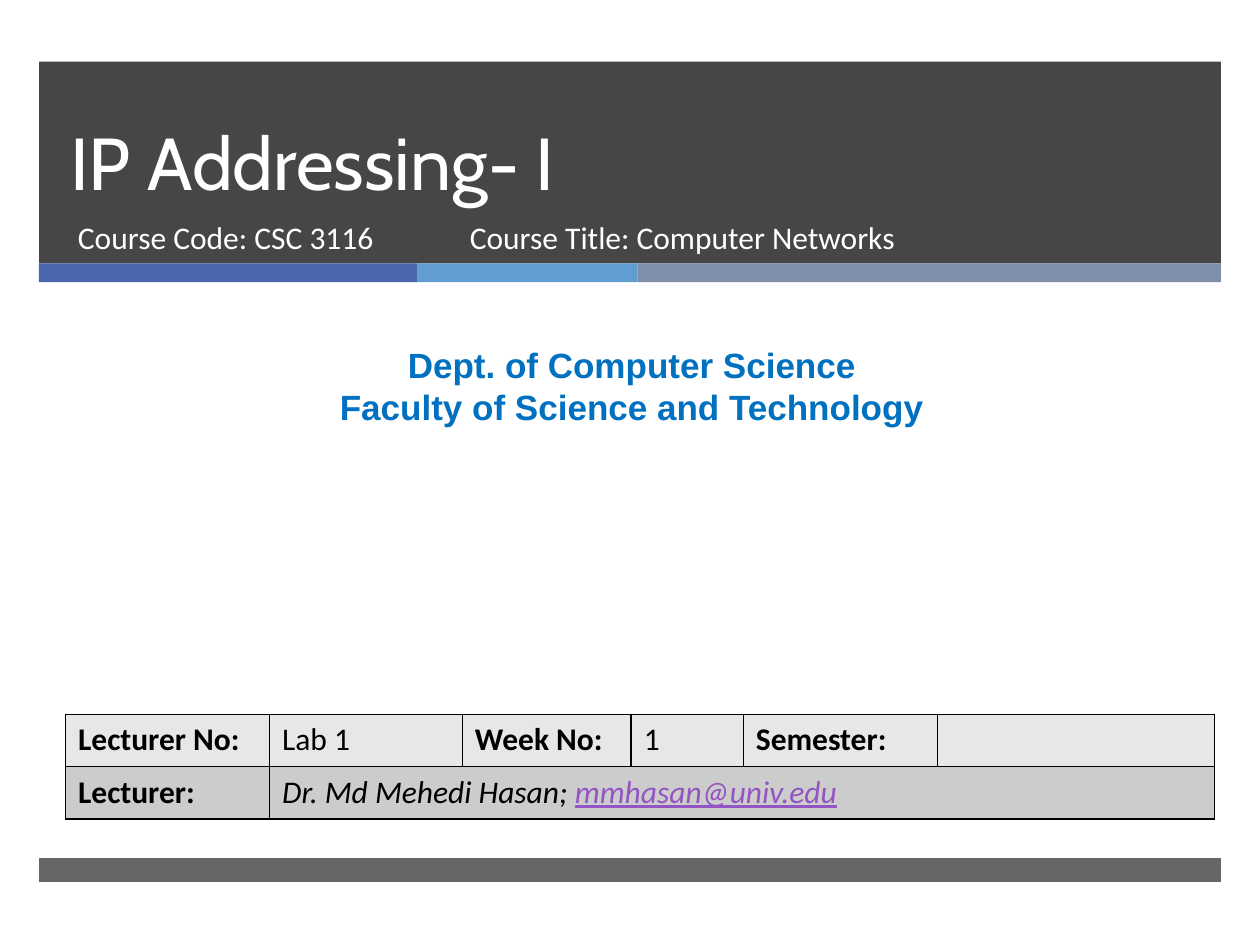
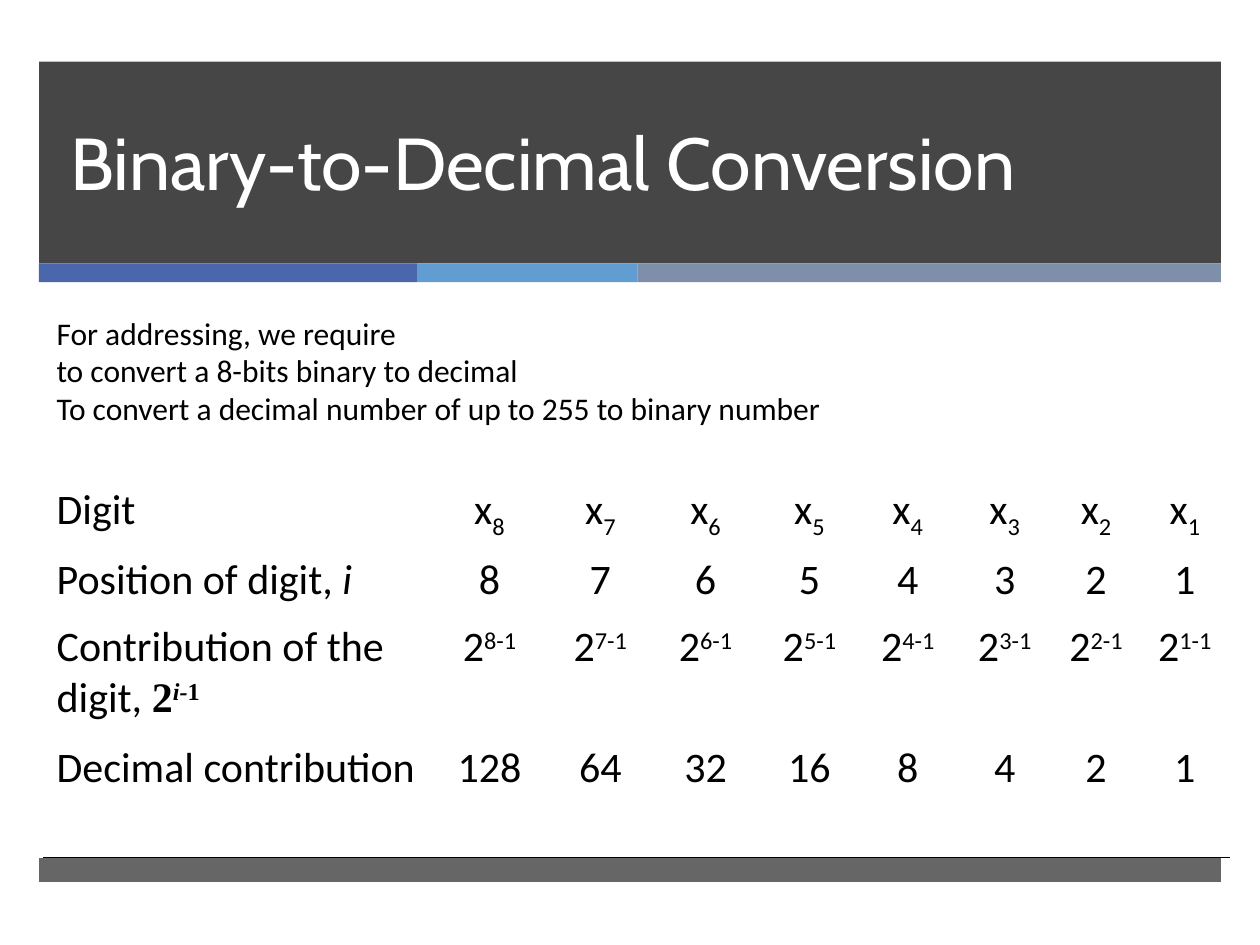
"""Builds two slides on IP addressing and binary-to-decimal conversion."""
from itertools import accumulate, zip_longest

from lxml.etree import SubElement
from pptx import Presentation
from pptx.dml.color import RGBColor
from pptx.enum.shapes import MSO_SHAPE as Shape
from pptx.enum.text import MSO_ANCHOR as Anchor, PP_ALIGN as Align
from pptx.oxml import parse_xml
from pptx.oxml.ns import nsdecls, qn
from pptx.util import Inches, Pt

BLACK = RGBColor(0x00, 0x00, 0x00)
WHITE = RGBColor(0xFF, 0xFF, 0xFF)
CHARCOAL = RGBColor(0x26, 0x26, 0x26)
INDIGO = RGBColor(0x4A, 0x66, 0xAC)
SKY = RGBColor(0x62, 0x9D, 0xD1)
SLATE = RGBColor(0x7F, 0x8F, 0xA9)
BLUE = RGBColor(0x00, 0x70, 0xC0)
PURPLE = RGBColor(0x94, 0x54, 0xC3)
LIGHT_GREY = RGBColor(0xE7, 0xE7, 0xE7)
MID_GREY = RGBColor(0xCC, 0xCC, 0xCC)

COLUMNS, ROWS = 100, 75
CELL = Inches(10) / COLUMNS

BODY = {"name": "Calibri", "size": Pt(18), "color": BLACK}
TITLE = BODY | {"name": "Cabin", "size": Pt(42), "color": WHITE}
COURSE = BODY | {"color": WHITE}
DEPARTMENT = {"name": "Arial", "size": Pt(20), "color": BLUE, "bold": True}
DIGITS = BODY | {"size": Pt(24)}
BOLD, ITALIC = {"bold": True}, {"italic": True}
SUBSCRIPT, SUPERSCRIPT = {"baseline": -25000}, {"baseline": 30000}
FORMULA = {"name": "Times New Roman", "bold": True}


def grid(*cells):
    """Turn grid cells into slide lengths."""
    return [round(count * CELL) for count in cells]


class SlideBuilder:
    """Holds the deck, the current slide and the shared style."""

    def __init__(self):
        """Start an empty deck sized to the grid."""
        self.deck = Presentation()
        self.deck.slide_width, self.deck.slide_height = grid(COLUMNS, ROWS)
        self.page = None

    def add_page(self, title):
        """Add a slide with its bands and title."""
        self.page = self.deck.slides.add_slide(self.deck.slide_layouts[6])
        self.band((3.1, 4.9, 93.8, 16), CHARCOAL, 85)
        widths = (30, 17.5, 46.3)
        lefts = accumulate(widths, initial=3.1)
        for left, width, color in zip(lefts, widths, (INDIGO, SKY, SLATE)):
            self.band((left, 20.9, width, 1.5), color)
        self.band((3.1, 68.1, 93.8, 1.9), CHARCOAL, 70)
        frame = self.text((4.6, 4.9, 85.4, 11.9), [title], TITLE)
        frame.vertical_anchor = Anchor.BOTTOM
        frame.paragraphs[0].line_spacing = Pt(46)

    def band(self, place, color, opacity=100):
        """Draw a plain rectangle."""
        box = self.page.shapes.add_shape(Shape.RECTANGLE, *grid(*place))
        box.shadow.inherit = False
        box.line.fill.background()
        box.fill.solid()
        box.fill.fore_color.rgb = color
        if opacity < 100:
            tint = box.fill._xPr.find(".//" + qn("a:srgbClr"))
            SubElement(tint, qn("a:alpha"), val=str(opacity * 1000))

    def add_spans(self, para, spans, style, align=Align.LEFT):
        """Fill a paragraph with a string or a list of formatted spans."""
        para.alignment = align
        for part in [spans] if isinstance(spans, str) else spans:
            words, changes = (part, {}) if isinstance(part, str) else part
            span = para.add_run()
            span.text = words
            for key, value in (style | changes).items():
                if key == "color":
                    span.font.color.rgb = value
                elif key == "baseline":
                    span.font._element.set(key, str(value))
                else:
                    setattr(span.font, key, value)

    def text(self, place, lines, style, align=Align.LEFT):
        """Add a text box with one paragraph per line."""
        frame = self.page.shapes.add_textbox(*grid(*place)).text_frame
        frame.word_wrap = True
        for index, line in enumerate(lines):
            para = frame.add_paragraph() if index else frame.paragraphs[0]
            self.add_spans(para, line, style, align)
        return frame

    def border(self, cell, sides):
        """Draw thin black lines on the given sides of a cell."""
        for side in sides:
            cell._tc.get_or_add_tcPr().append(parse_xml(
                f'<a:ln{side} {nsdecls("a")} w="12700"><a:solidFill>'
                f'<a:srgbClr val="{BLACK}"/></a:solidFill></a:ln{side}>'))

    def table(self, corner, widths, heights, rows, style, fills, borders, align):
        """Add a table whose fills and borders are given by row."""
        place = grid(*corner, sum(widths), sum(heights))
        table = self.page.shapes.add_table(len(heights), len(widths), *place).table
        table.first_row = table.horz_banding = False
        for column, width in zip(table.columns, grid(*widths)):
            column.width = width
        for row, height, texts, color, sides in zip(
                table.rows, grid(*heights), rows, fills, borders):
            row.height = height
            for index, (cell, spans) in enumerate(
                    zip_longest(row.cells, texts, fillvalue="")):
                self.border(cell, sides)
                if color is None:
                    cell.fill.background()
                else:
                    cell.fill.solid()
                    cell.fill.fore_color.rgb = color
                if spans:
                    self.add_spans(cell.text_frame.paragraphs[0], spans, style,
                                   align if index else Align.LEFT)
        return table


def add_cover(builder):
    """Build the course cover."""
    builder.add_page("IP Addressing- I")
    builder.text((5.2, 16.8, 30.5, 5.3), ["Course Code: CSC 3116"], COURSE)
    builder.text((0.8, 26.8, 98.7, 7.7),
                 ["Dept. of Computer Science", "Faculty of Science and Technology"],
                 DEPARTMENT, Align.CENTER)
    builder.text((36.3, 16.8, 45.5, 5.3), ["Course Title: Computer Networks"], COURSE)
    rows = [
        [[("Lecturer No:", BOLD)], "Lab 1", [("Week No:", BOLD)], "1",
         [("Semester:", BOLD)]],
        [[("Lecturer:", BOLD)],
         [("Dr. Md Mehedi Hasan; ", ITALIC),
          ("mmhasan@univ.edu", ITALIC | {"color": PURPLE, "underline": True})]],
    ]
    table = builder.table((5.2, 56.7), (16.2, 15.3, 13.4, 8.9, 15.4, 22), (4.15, 4.15),
                          rows, BODY, (LIGHT_GREY, MID_GREY), ("LRTB", "LRTB"),
                          Align.LEFT)
    table.cell(1, 1).merge(table.cell(1, 5))


def add_conversion(builder):
    """Build the table of digit contributions."""
    builder.add_page("Binary-to-Decimal Conversion")
    builder.text((3.5, 24.4, 78.9, 10.1),
                 ["For addressing, we require",
                  "to convert a 8-bits binary to decimal",
                  "To convert a decimal number of up to 255 to binary number"], BODY)
    positions = range(8, 0, -1)
    power = [("2", FORMULA), ("i-", FORMULA | ITALIC | SUPERSCRIPT),
             ("1", FORMULA | SUPERSCRIPT)]
    rows = [
        ["Digit", *(["x", (str(i), SUBSCRIPT)] for i in positions)],
        [["Position of digit, ", ("i", ITALIC)], *map(str, positions)],
        [["Contribution of the digit, ", *power],
         *(["2", (f"{i}-1", SUPERSCRIPT)] for i in positions)],
        ["Decimal contribution", *(str(2 ** (i - 1)) for i in positions)],
    ]
    builder.table((3.5, 38), (30.5, 9.7, 7.9, 8.8, 7.7, 7.9, 7.5, 7, 7.1),
                  (5.3, 5.3, 9.6, 9.6), rows, DIGITS, [None] * 4,
                  ("", "", "", "B"), Align.CENTER)


def main():
    """Build and save the deck."""
    builder = SlideBuilder()
    add_cover(builder)
    add_conversion(builder)
    builder.deck.save("out.pptx")


if __name__ == "__main__":
    main()
